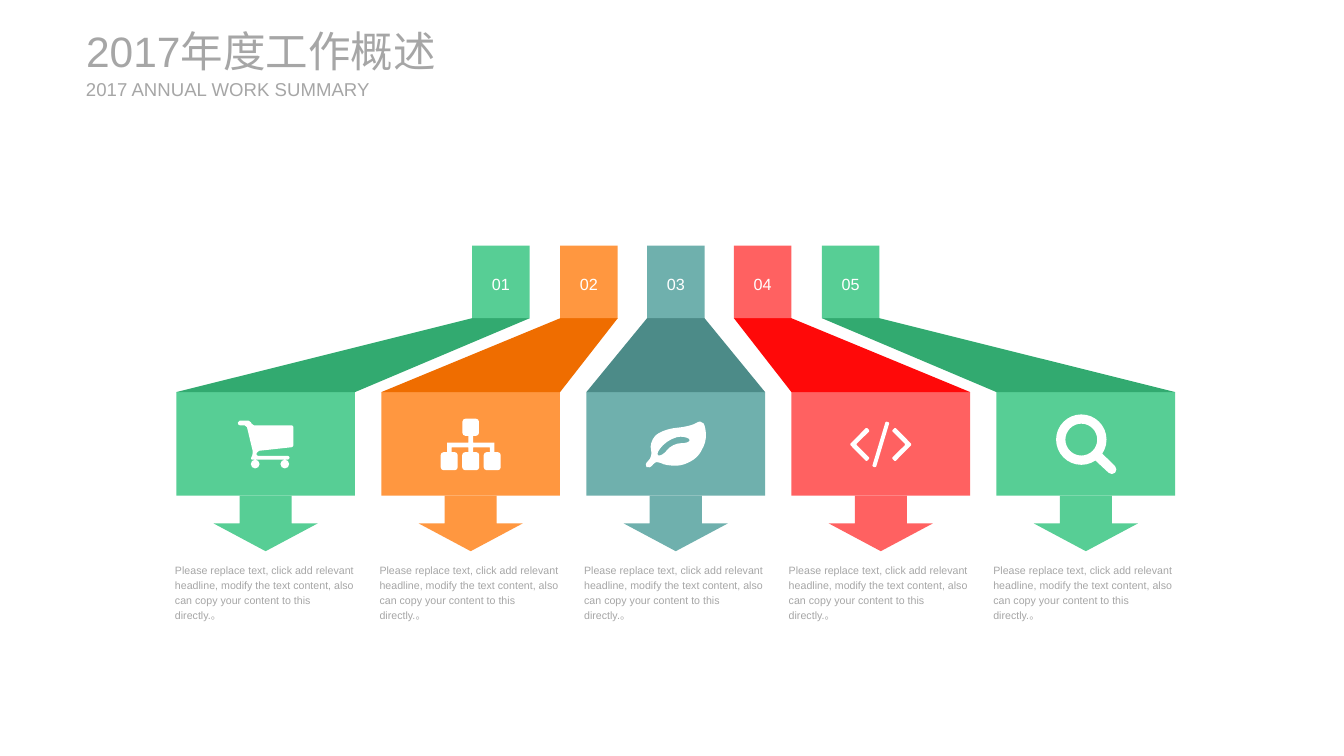
"""Build the annual work summary slide with five numbered columns."""
from math import hypot

from lxml import etree
from pptx import Presentation
from pptx.dml.color import RGBColor
from pptx.enum.shapes import MSO_SHAPE
from pptx.enum.text import MSO_ANCHOR, PP_ALIGN
from pptx.oxml.ns import qn
from pptx.util import Pt

RECTANGLE, DOWN_ARROW = MSO_SHAPE.RECTANGLE, MSO_SHAPE.DOWN_ARROW
TOP, MIDDLE = MSO_ANCHOR.TOP, MSO_ANCHOR.MIDDLE
LEFT, CENTER = PP_ALIGN.LEFT, PP_ALIGN.CENTER

TITLE = "2017年度工作概述"
SUBTITLE = "2017 ANNUAL WORK SUMMARY"
CAPTION = ("Please replace text, click add relevant headline, modify the text "
           "content, also can copy your content to this directly.。")
GRAY, WHITE = "A6A6A6", "FFFFFF"


def box(left, top, right, bottom):
    """Return the corners of a rectangle."""
    return [(left, top), (right, top), (right, bottom), (left, bottom)]


def circle(x, y, radius):
    """Return a circle as a fully rounded square contour."""
    return radius, box(x - radius, y - radius, x + radius, y + radius)


CART = [
    (1.5, [(-20.9, -18), (-11.5, -18), (-10.4, -14.4), (20.9, -14.4), (20.9, 2),
           (-6.5, 5), (-7.2, 8.6), (18, 8.6), (18, 11.5), (-11.5, 11.5),
           (-9.4, 6.5), (-14.4, -14.4), (-20.9, -14.4)]),
    circle(-7.9, 14.8, 3.3),
    circle(14.4, 14.8, 3.3),
]
TREE_HALF = [(1.8, -6.5), (1.8, -1.4), (17.8, -1.4), (17.8, 5.8),
             (14.4, 5.8), (14.4, 2.2), (1.8, 2.2), (1.8, 5.8)]
HIERARCHY = [
    (2.2, box(-6.2, -19.4, 6.2, -6.5)),
    *[(2.2, box(x - 6.4, 5.8, x + 6.4, 19.4)) for x in (-16.2, 0, 16.2)],
    (0, TREE_HALF + [(-x, y) for x, y in reversed(TREE_HALF)]),
]
LEAF = [
    (30, [(18.8, -18.8), (23, -13), (22.5, 2), (10.5, 15.5), (-8, 16.5),
          (-14.5, 11.5), (-19.8, 18.8), (-24.3, 15.5), (-17, 9),
          (-20.3, -1), (-11, -11.5), (12, -13.5)]),
    (30, [(10.5, -5.6), (-3, -6), (-16, 7), (-10.5, 9.5), (-2.5, -1), (10.5, -0.8)]),
]
CHEVRON = [(-10.8, -12.8), (-23.4, 0), (-10.8, 12.8),
           (-8.3, 10.3), (-18.7, 0), (-8.3, -10.3)]
CODE = [
    (0.7, CHEVRON),
    (0.7, [(3.7, -17.4), (6.5, -16.5), (-3.7, 17.4), (-6.5, 16.5)]),
    (0.7, [(-x, y) for x, y in CHEVRON]),
]
SEARCH = [
    circle(-3.4, -3.6, 19),
    circle(-3.4, -3.6, 12),
    (0, [(7.2, 12.1), (10, 9.8), (12.3, 6.9), (22, 16.3), (23, 18.8),
         (22.1, 21.3), (19.7, 22.3), (17.3, 21.5)]),
]

COLUMNS = [
    ("01", 355.7, "57CE95", "32AA70", CART),
    ("02", 422, "FF9740", "EF6D00", HIERARCHY),
    ("03", 487.4, "6FB0AD", "4C8B88", LEAF),
    ("04", 552.8, "FF6161", "FF0909", CODE),
    ("05", 619.1, "57CE95", "32AA70", SEARCH),
]
TAB_TOP, TAB_WIDTH, TAB_HEIGHT = 185.1, 43.3, 54.6
CARD_LEFT, CARD_PITCH, CARD_TOP, CARD_WIDTH, CARD_HEIGHT = 132.8, 154.45, 295.4, 134.6, 78
ARROW_WIDTH, ARROW_HEIGHT = 78.4, 41.8
ICON_MIDDLE = 334.8
CAPTION_LEFT, CAPTION_PITCH, CAPTION_TOP = 131.8, 154.1, 422.6
CURVE_PULL = 0.55


def color(value):
    """Turn a hex string into a colour."""
    return RGBColor.from_string(value)


def paint(shape, fill):
    """Give a shape a plain fill without line or shadow."""
    shape.shadow.inherit = False
    shape.fill.solid()
    shape.fill.fore_color.rgb = color(fill)
    shape.line.fill.background()


def add_block(shapes, kind, left, top, width, height, fill):
    """Add a filled preset shape."""
    shape = shapes.add_shape(kind, Pt(left), Pt(top), Pt(width), Pt(height))
    paint(shape, fill)
    return shape


def write(shape, text, size, fill, align=LEFT, anchor=TOP, spacing=1.0):
    """Write one formatted paragraph without margins into a shape."""
    frame = shape.text_frame
    frame_format = {"word_wrap": True, "vertical_anchor": anchor, "margin_left": 0,
                    "margin_right": 0, "margin_top": 0, "margin_bottom": 0}
    for name, value in frame_format.items():
        setattr(frame, name, value)
    paragraph = frame.paragraphs[0]
    paragraph.alignment = align
    paragraph.line_spacing = spacing
    run = paragraph.add_run()
    run.text = text
    for name, value in {"name": "Arial", "size": Pt(size)}.items():
        setattr(run.font, name, value)
    run.font.color.rgb = color(fill)


def between(start, end, share):
    """Return the point at a share of the way from start to end."""
    return tuple(a + (b - a) * share for a, b in zip(start, end))


def toward(start, end, distance):
    """Return the point at a distance from start, at most halfway to end."""
    length = hypot(end[0] - start[0], end[1] - start[1])
    return between(start, end, min(distance / length, 0.5))


def rounded(radius, points):
    """Return start, two control points and end for each rounded corner."""
    if radius == 0:
        return points
    outline = []
    for index, corner in enumerate(points):
        start = toward(corner, points[index - 1], radius)
        end = toward(corner, points[(index + 1) % len(points)], radius)
        outline += [start, between(start, corner, CURVE_PULL),
                    between(end, corner, CURVE_PULL), end]
    return outline


def bend(start):
    """Turn the corner lines after a contour start into Bezier curves."""
    lines = []
    for element in start.itersiblings():
        if element.tag != qn("a:lnTo"):
            break
        lines.append(element)
    for index in range(0, len(lines), 4):
        curve = etree.Element(qn("a:cubicBezTo"))
        lines[index].addprevious(curve)
        for line in lines[index:index + 3]:
            curve.append(line[0])
            line.getparent().remove(line)


def add_outline(shapes, contours, fill, x=0, y=0):
    """Add one freeform of closed, optionally rounded contours, moved by x and y."""
    builder = None
    for contour in contours:
        points = [(Pt(x + px), Pt(y + py)) for px, py in rounded(*contour)]
        if builder is None:
            builder = shapes.build_freeform(*points[0])
        else:
            builder.move_to(*points[0])
        builder.add_line_segments(points[1:], close=True)
    shape = builder.convert_to_shape()
    paint(shape, fill)
    starts = list(shape.element.iter(qn("a:moveTo")))
    for start, (radius, _) in zip(starts, contours):
        if radius:
            bend(start)


def add_text(slide, text, left, top, width, height, size, **layout):
    """Add a gray text box."""
    shape = slide.shapes.add_textbox(Pt(left), Pt(top), Pt(width), Pt(height))
    write(shape, text, size, GRAY, **layout)


def add_column(slide, index, number, tab, fill, dark, icon):
    """Add a numbered tab, its band, card, arrow, icon and caption."""
    shapes = slide.shapes.add_group_shape().shapes
    card = CARD_LEFT + index * CARD_PITCH
    middle = card + CARD_WIDTH / 2
    add_block(shapes, RECTANGLE, card, CARD_TOP, CARD_WIDTH, CARD_HEIGHT, fill)
    add_block(shapes, DOWN_ARROW, middle - ARROW_WIDTH / 2, CARD_TOP + CARD_HEIGHT,
              ARROW_WIDTH, ARROW_HEIGHT, fill)
    band = [(tab, TAB_TOP + TAB_HEIGHT), (tab + TAB_WIDTH, TAB_TOP + TAB_HEIGHT),
            (card + CARD_WIDTH, CARD_TOP), (card, CARD_TOP)]
    add_outline(shapes, [(0, band)], dark)
    label = add_block(shapes, RECTANGLE, tab, TAB_TOP, TAB_WIDTH, TAB_HEIGHT, fill)
    write(label, number, 12.2, WHITE, CENTER, MIDDLE, 1.2)
    add_outline(slide.shapes, icon, WHITE, middle, ICON_MIDDLE)
    add_text(slide, CAPTION, CAPTION_LEFT + index * CAPTION_PITCH, CAPTION_TOP,
             139, 46, 8, spacing=1.2)


def main():
    """Build and save the presentation."""
    presentation = Presentation()
    presentation.slide_width, presentation.slide_height = Pt(1012.32), Pt(569.52)
    slide = presentation.slides.add_slide(presentation.slide_layouts[5])
    title = slide.shapes.title
    title.left, title.top, title.width, title.height = Pt(64.8), Pt(18.7), Pt(311), Pt(38.9)
    write(title, TITLE, 32, GRAY, anchor=MIDDLE)
    add_text(slide, SUBTITLE, 64.8, 58.3, 221, 17.3, 14, anchor=MIDDLE)
    for index, column in enumerate(COLUMNS):
        add_column(slide, index, *column)
    presentation.save("out.pptx")


if __name__ == "__main__":
    main()
